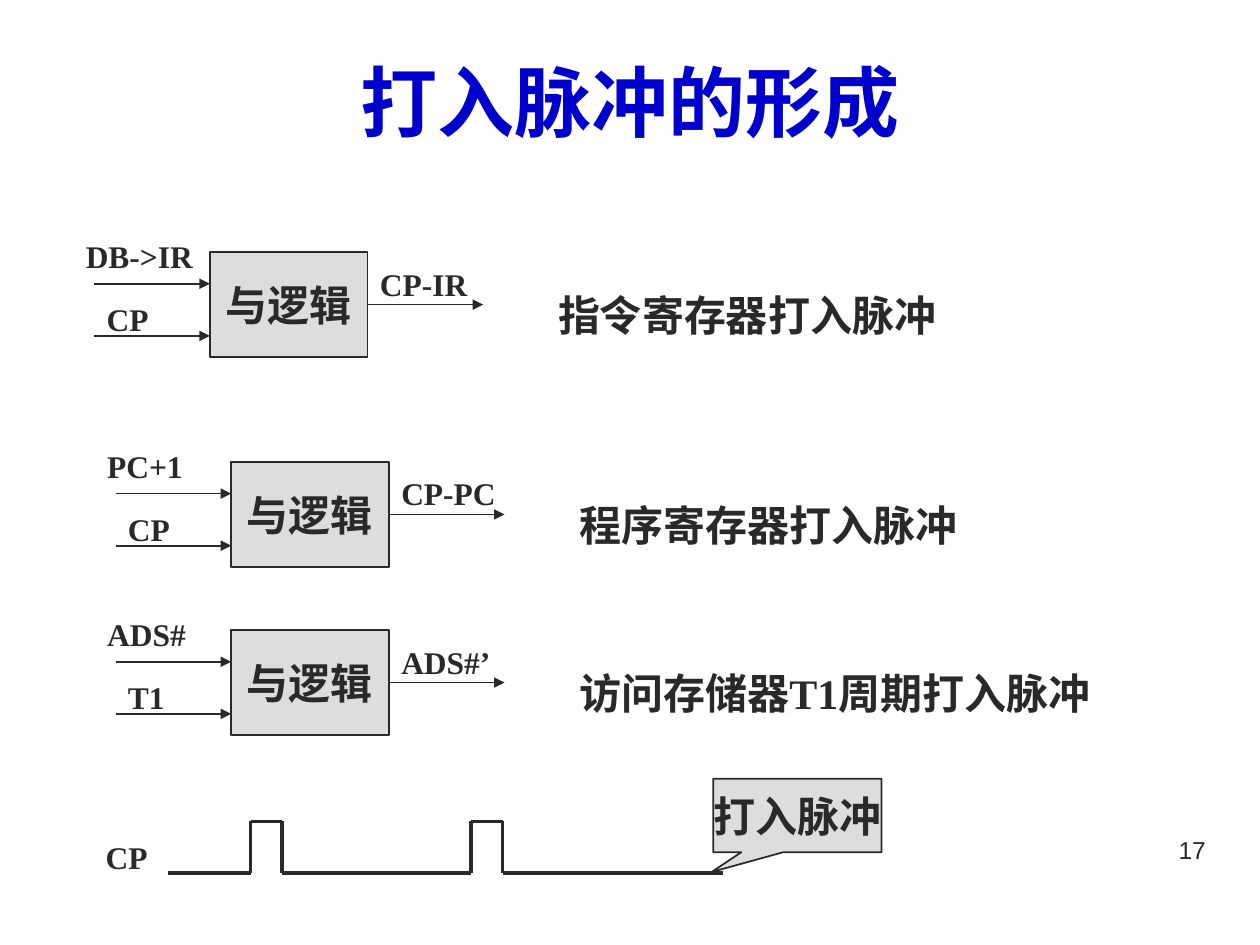
import itertools

import pptx
import pptx.dml.color
import pptx.enum.shapes
import pptx.enum.text
import pptx.oxml.ns
import pptx.util
from lxml import etree

Cm = pptx.util.Cm
Pt = pptx.util.Pt
ALIGN = pptx.enum.text.PP_ALIGN
SHAPES = pptx.enum.shapes.MSO_SHAPE

# Content
TITLE = "打入脉冲的形成"
PAGE_NUMBER = "17"
GATE_TEXT = "与逻辑"
GATES = [
    {"left": 4.23, "top": 5.08, "inputs": ("DB->IR", "CP"), "output": "CP-IR",
     "description": "指令寄存器打入脉冲", "width": 11.0},
    {"left": 4.66, "top": 9.31, "inputs": ("PC+1", "CP"), "output": "CP-PC",
     "description": "程序寄存器打入脉冲", "width": 11.0},
    {"left": 4.66, "top": 12.7, "inputs": ("ADS#", "T1"), "output": "ADS#’",
     "description": "访问存储器T1周期打入脉冲", "width": 12.07},
]
CLOCK_LABEL = "CP"
CALLOUT_TEXT = "打入脉冲"

# Theme
THEME = {
    "ink": "292929", "title": "0000CC", "fill": "DDDDDD",
    "body_font": "Times New Roman", "title_font": "Arial",
    "title_size": 44, "text_size": 24, "label_size": 18, "number_size": 14,
    "line": 1, "wave_line": 2,
}

# Gate geometry in centimetres, offsets from the top left corner of the box
GATE_WIDTH, GATE_HEIGHT = 3.18, 2.12
ARROW_LENGTH = 2.33
INPUT_ROWS = (0.64, 1.69)
INPUT_LABELS = ((-2.75, -0.42, 3.81), (-2.33, 0.85, 1.91))
LABEL_HEIGHT, TEXT_HEIGHT = 1.02, 1.27

# Clock wave: low level, high level, start, end and the edges of each pulse
WAVE_LOW, WAVE_HIGH = 17.6, 16.56
WAVE_START, WAVE_END = 3.38, 14.58
PULSES = [(5.05, 5.69), (9.5, 10.13)]


def color(name):
    return pptx.dml.color.RGBColor.from_string(THEME[name])


def write(shape, text, size="label_size", font="body_font", ink="ink",
          bold=True, align=ALIGN.LEFT, before=0, wrap=True, middle=False):
    frame = shape.text_frame
    frame.word_wrap = wrap
    if middle:
        frame.vertical_anchor = pptx.enum.text.MSO_ANCHOR.MIDDLE
    paragraph = frame.paragraphs[0]
    paragraph.alignment = align
    paragraph.space_before = Pt(before)
    run = paragraph.add_run()
    run.text = text
    run.font.name = THEME[font]
    run.font.size = Pt(THEME[size])
    run.font.bold = bold
    run.font.color.rgb = color(ink)


def add_text(slide, left, top, width, height, text, **text_format):
    box = slide.shapes.add_textbox(Cm(left), Cm(top), Cm(width), Cm(height))
    write(box, text, **text_format)


def add_box(slide, preset, left, top, width, height, text):
    shape = slide.shapes.add_shape(preset, Cm(left), Cm(top), Cm(width), Cm(height))
    shape.shadow.inherit = False
    shape.fill.solid()
    shape.fill.fore_color.rgb = color("fill")
    shape.line.color.rgb = color("ink")
    shape.line.width = Pt(THEME["line"])
    write(shape, text, size="text_size", align=ALIGN.CENTER, wrap=False, middle=True)
    return shape


def add_line(shapes, start, end, width="line", arrow=False):
    connector = shapes.add_connector(
        pptx.enum.shapes.MSO_CONNECTOR.STRAIGHT, *map(Cm, start + end))
    connector.line.color.rgb = color("ink")
    connector.line.width = Pt(THEME[width])
    qn = pptx.oxml.ns.qn
    if arrow:
        etree.SubElement(connector.line._get_or_add_ln(), qn("a:tailEnd"), type="triangle")
    etree.SubElement(connector._element.spPr, qn("a:effectLst"))
    return connector


def add_gate(slide, gate):
    left, top = gate["left"], gate["top"]
    right, center = left + GATE_WIDTH, top + GATE_HEIGHT / 2
    box = add_box(slide, SHAPES.RECTANGLE, left, top, GATE_WIDTH, GATE_HEIGHT, GATE_TEXT)

    # Arrows
    for row in INPUT_ROWS:
        add_line(slide.shapes, (left - ARROW_LENGTH, top + row), (left, top + row), arrow=True)
    output = add_line(slide.shapes, (right, center), (right + ARROW_LENGTH, center), arrow=True)
    output.begin_connect(box, 3)

    # Labels and description
    for text, (x, y, width) in zip(gate["inputs"], INPUT_LABELS):
        add_text(slide, left + x, top + y, width, LABEL_HEIGHT, text, before=11.2)
    add_text(slide, right, top + 0.13, 2.97, LABEL_HEIGHT, gate["output"], before=11.2)
    add_text(slide, left + 6.77, top + 0.64, gate["width"], TEXT_HEIGHT,
             gate["description"], size="text_size", before=15)


def add_wave(slide):
    points = [(WAVE_START, WAVE_LOW)]
    for rise, fall in PULSES:
        points += [(rise, WAVE_LOW), (rise, WAVE_HIGH), (fall, WAVE_HIGH), (fall, WAVE_LOW)]
    points.append((WAVE_END, WAVE_LOW))
    group = slide.shapes.add_group_shape()
    for start, end in itertools.pairwise(points):
        add_line(group.shapes, start, end, width="wave_line")


def main():
    presentation = pptx.Presentation()
    presentation.slide_width, presentation.slide_height = Cm(25.4), Cm(19.05)
    slide = presentation.slides.add_slide(presentation.slide_layouts[5])

    # Title and page number
    title = slide.shapes.title
    title.left, title.top, title.width, title.height = map(Cm, (0.84, 0.43, 23.72, 3.18))
    write(title, TITLE, size="title_size", font="title_font", ink="title",
          align=ALIGN.CENTER, middle=True)
    add_text(slide, 18.21, 16.71, 6.35, 1.32, PAGE_NUMBER, size="number_size",
             font="title_font", bold=False, align=ALIGN.RIGHT)

    # Logic gates
    for gate in GATES:
        add_gate(slide, gate)

    # Clock wave with its callout
    add_wave(slide)
    add_text(slide, 1.88, 16.76, 2.11, LABEL_HEIGHT, CLOCK_LABEL, before=11.2)
    callout = add_box(slide, SHAPES.RECTANGULAR_CALLOUT, 14.38, 15.7, 3.39, 1.48, CALLOUT_TEXT)
    callout.adjustments[0], callout.adjustments[1] = -0.51, 0.77

    presentation.save("out.pptx")


if __name__ == "__main__":
    main()
